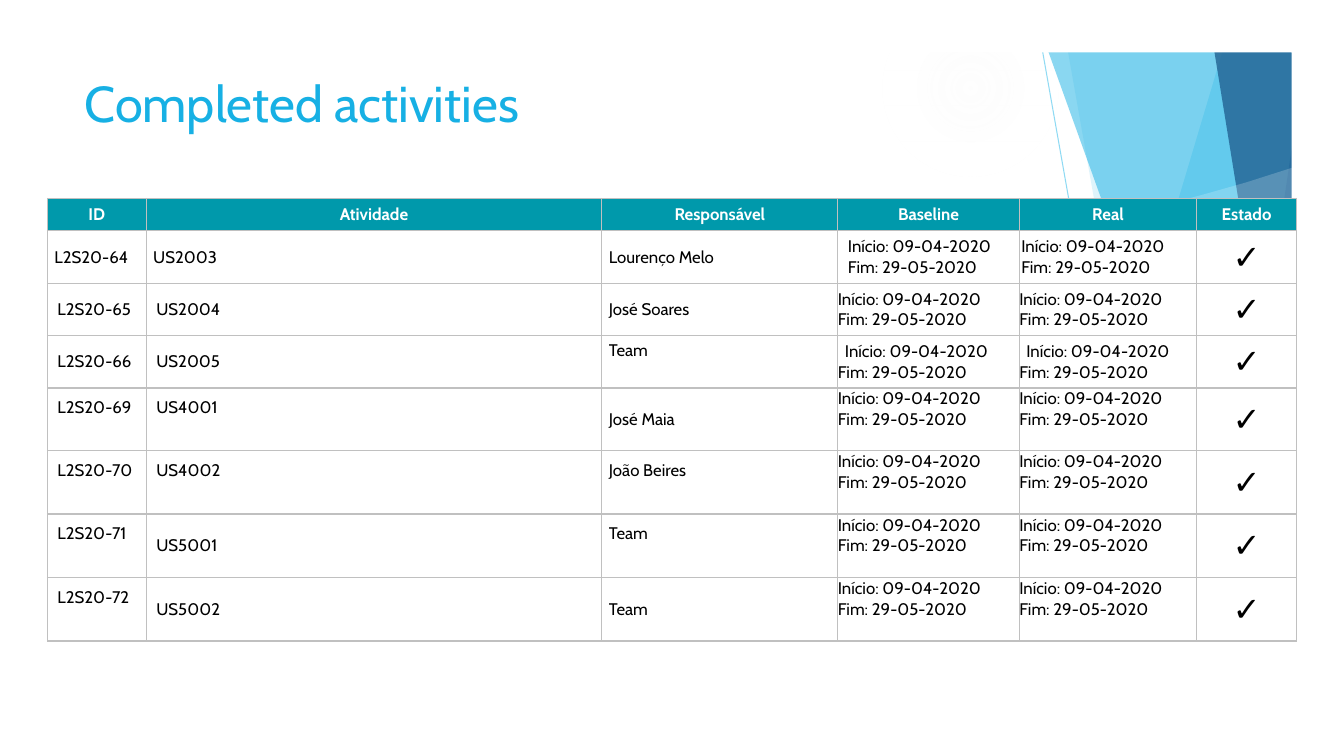
from pptx import Presentation
from pptx import util as u
from pptx.dml.color import RGBColor
from pptx.enum import shapes, text
from pptx.oxml import parse_xml
from pptx.oxml.ns import nsdecls
from lxml import etree

# Content
TITLE = "Completed activities"
HEADS = ["ID", "Atividade", "Responsável", "Baseline", "Real", "Estado"]
TASKS = [
    ("L2S20-64", "US2003", "Lourenço Melo"),
    ("L2S20-65", "US2004", "José Soares"),
    ("L2S20-66", "US2005", "Team"),
    ("L2S20-69", "US4001", "José Maia"),
    ("L2S20-70", "US4002", "João Beires"),
    ("L2S20-71", "US5001", "Team"),
    ("L2S20-72", "US5002", "Team"),
]
DATES = ["Início: 09-04-2020", "Fim: 29-05-2020"]
DONE = "✓"

# Theme
THEME = {
    "font": "Cabin", "title": 36, "body": 12, "mark": 24,
    "accent": "17B0E4", "head": "0099AB", "ink": "000000",
    "paper": "FFFFFF", "rule": "C0C0C0", "sky": "5FCBEF", "glow": "F7F7F7",
}

# Grid, in inches
WIDE, HIGH = 13.33, 7.5
COLS = [0.98, 4.52, 2.34, 1.8, 1.76, 0.99]
ROWS = [0.32] + [0.52] * 3 + [0.62] + [0.63] * 3
LEFT, TOP = 0.47, 1.97

# Art: left edge at slide top, at slide foot, colour, opacity
FACETS = [
    (12.28, 10.04, THEME["sky"], 36),
    (10.5, 11.83, THEME["sky"], 20),
    (10.21, 12.91, THEME["accent"], 50),
    (13.03, 11.92, "2E83C3", 70),
    (11.96, 13.18, "226292", 80),
]
GLOW = [(0, 14), (36, 7), (73, 0)]   # stop, opacity
SWEEP = [(9.34, 2.5), (10.6, 2.45), (11.8, 2.31), (12.89, 2.14), (12.83, 1.66),
         (12.36, 1.81), (11.9, 1.94), (11.44, 2.06), (10.98, 2.16),
         (10.53, 2.25), (10.1, 2.32), (9.69, 2.38), (9.3, 2.43)]
PANEL = [(0.5, 2.04), (0.5, 7), (12.84, 7), (12.84, 2.04), (11.72, 2.2),
         (10.6, 2.32), (9.49, 2.41), (8.4, 2.46), (7.34, 2.48), (6.32, 2.47),
         (5.35, 2.45), (4.44, 2.41), (3.21, 2.33), (1.87, 2.21), (0.94, 2.1)]
FRAME = [(0, 0), (0, HIGH), (WIDE, HIGH), (WIDE, 0)]
PANE = [(12.81, 6.98), (12.81, 0.52), (0.52, 0.52), (0.52, 6.98)]

# Cell insets: left, top, right, bottom
PLAIN = (0.1, 0.05, 0.1, 0.05)
SLIM = (0.07, 0, 0.07, 0)
FLUSH = (0, 0, 0, 0)
FIRST = {0: SLIM, 1: SLIM, 3: (0.1, 0.04, 0.1, 0.04), 4: (0.02, 0.04, 0.02, 0.04)}
RAISED = {(4, 0), (5, 0), (6, 0), (7, 0), (4, 1), (5, 1), (3, 2), (5, 2), (6, 2)}


def rgb(code):
    return RGBColor.from_string(code)


def apply(item, vals):
    for name, val in vals.items():
        setattr(item, name, val)


def fade(fill, share):
    for clr in fill.iter("{*}srgbClr"):
        tag = clr.tag.replace("srgbClr", "alpha")
        etree.SubElement(clr, tag).set("val", str(share * 1000))


def shard(slide, color, share, *loops):
    loops = [[(u.Inches(x), u.Inches(y)) for x, y in pts] for pts in loops]
    pen = slide.shapes.build_freeform(*loops[0][0], scale=1.0)
    for i, pts in enumerate(loops):
        if i:
            pen.move_to(*pts[0])
        pen.add_line_segments(pts[1:], close=True)
    shape = pen.convert_to_shape()
    shape.shadow.inherit = False
    shape.fill.solid()
    shape.fill.fore_color.rgb = rgb(color)
    shape.line.fill.background()
    if share < 100:
        fade(shape._element.spPr, share)


def glow(slide):
    box = map(u.Inches, (8.75, 0, 1.75, 1.75))
    disc = slide.shapes.add_shape(shapes.MSO_SHAPE.OVAL, *box)
    disc.shadow.inherit = False
    disc.line.fill.background()
    stops = "".join(
        f'<a:gs pos="{pos * 1000}"><a:srgbClr val="{THEME["glow"]}">'
        f'<a:alpha val="{share * 1000}"/></a:srgbClr></a:gs>' for pos, share in GLOW)
    disc._element.spPr.insert(2, parse_xml(
        f'<a:gradFill {nsdecls("a")}><a:gsLst>{stops}</a:gsLst><a:path path="circle">'
        '<a:fillToRect l="50000" t="50000" r="50000" b="50000"/></a:path></a:gradFill>'))


def art(slide):
    # Thin slanted line
    ends = map(u.Inches, (10.25, 0, 11.58, HIGH))
    line = slide.shapes.add_connector(shapes.MSO_CONNECTOR.STRAIGHT, *ends)
    line.line.width = u.Pt(0.75)
    line.line.color.rgb = rgb(THEME["sky"])
    spPr = line._element.spPr
    fade(spPr, 70)
    spPr.append(parse_xml(f"<a:effectLst {nsdecls('a')}/>"))
    # Facets, glow and sweep, then the white panel and frame
    for top, foot, color, share in FACETS:
        shard(slide, color, share,
              [(top, -0.01), (WIDE, -0.01), (WIDE, HIGH), (foot, HIGH)])
    glow(slide)
    shard(slide, THEME["paper"], 20, SWEEP)
    shard(slide, THEME["paper"], 100, PANEL)
    shard(slide, THEME["paper"], 100, FRAME, PANE)


def border(cell):
    props = cell._tc.get_or_add_tcPr()
    for i, side in enumerate(("lnL", "lnR", "lnT", "lnB")):
        props.insert(i, parse_xml(
            f'<a:{side} {nsdecls("a")} w="12700"><a:solidFill>'
            f'<a:srgbClr val="{THEME["rule"]}"/></a:solidFill></a:{side}>'))


def inset(row, col):
    if row == 1 and col in FIRST:
        return FIRST[col]
    box = PLAIN
    if row and col in (3, 4):
        box = FLUSH if row < 4 else (0, 0, 0, 0.2)
    elif row and col == 2:
        box = SLIM
    if (row, col) in RAISED:
        box = (box[0], 0, box[2], 0.23 if row == 3 else 0.24)
    return box


def write(cell, row, col, lines):
    head, mark, date = row == 0, col == 5 and row > 0, col in (3, 4)
    sides = ("margin_left", "margin_top", "margin_right", "margin_bottom")
    apply(cell, dict(zip(sides, map(u.Inches, inset(row, col)))))
    cell.vertical_anchor = text.MSO_ANCHOR.MIDDLE
    cell.fill.solid()
    cell.fill.fore_color.rgb = rgb(THEME["head" if head else "paper"])
    border(cell)
    frame = cell.text_frame
    for i, words in enumerate(lines):
        para = frame.paragraphs[0] if i == 0 else frame.add_paragraph()
        run = para.add_run()
        run.text = words
        apply(run.font, {"name": THEME["font"], "bold": head,
                         "size": u.Pt(THEME["mark" if mark else "body"])})
        run.font.color.rgb = rgb(THEME["paper" if head else "ink"])
        if head or mark:
            para.alignment = text.PP_ALIGN.CENTER
        if not head and not date:
            apply(para, {"space_before": u.Pt(3), "space_after": u.Pt(3)})
        if row == 3 and date and i == 0:
            para._p.get_or_add_pPr().set("marL", str(u.Inches(0.07)))


def grid(slide):
    size = (LEFT, TOP, sum(COLS), sum(ROWS))
    table = slide.shapes.add_table(
        len(ROWS), len(COLS), *map(u.Inches, size)).table
    apply(table, {"first_row": False, "horz_banding": False})
    for part, wide in zip(table.columns, COLS):
        part.width = u.Inches(wide)
    for part, tall in zip(table.rows, ROWS):
        part.height = u.Inches(tall)
    rows = [[[name] for name in HEADS]]
    rows += [[[v] for v in task] + [DATES, DATES, [DONE]] for task in TASKS]
    for r, cells in enumerate(rows):
        for c, lines in enumerate(cells):
            write(table.cell(r, c), r, c, lines)


def head(slide):
    title = slide.shapes.title
    box = zip(("left", "top", "width", "height"), (0.74, 0.67, 9.4, 1.44))
    apply(title, {name: u.Inches(val) for name, val in box})
    # Bring the title in front of the art
    slide.shapes._spTree.append(title._element)
    frame = title.text_frame
    frame.text = TITLE
    apply(frame, {"vertical_anchor": text.MSO_ANCHOR.TOP, "word_wrap": True,
                  "auto_size": text.MSO_AUTO_SIZE.NONE})
    para = frame.paragraphs[0]
    para.alignment = text.PP_ALIGN.LEFT
    font = para.runs[0].font
    apply(font, {"name": THEME["font"], "size": u.Pt(THEME["title"])})
    font.color.rgb = rgb(THEME["accent"])


def main():
    deck = Presentation()
    apply(deck, {"slide_width": u.Inches(WIDE), "slide_height": u.Inches(HIGH)})
    slide = deck.slides.add_slide(deck.slide_layouts[5])
    art(slide)
    head(slide)
    grid(slide)
    deck.save("out.pptx")


if __name__ == "__main__":
    main()
